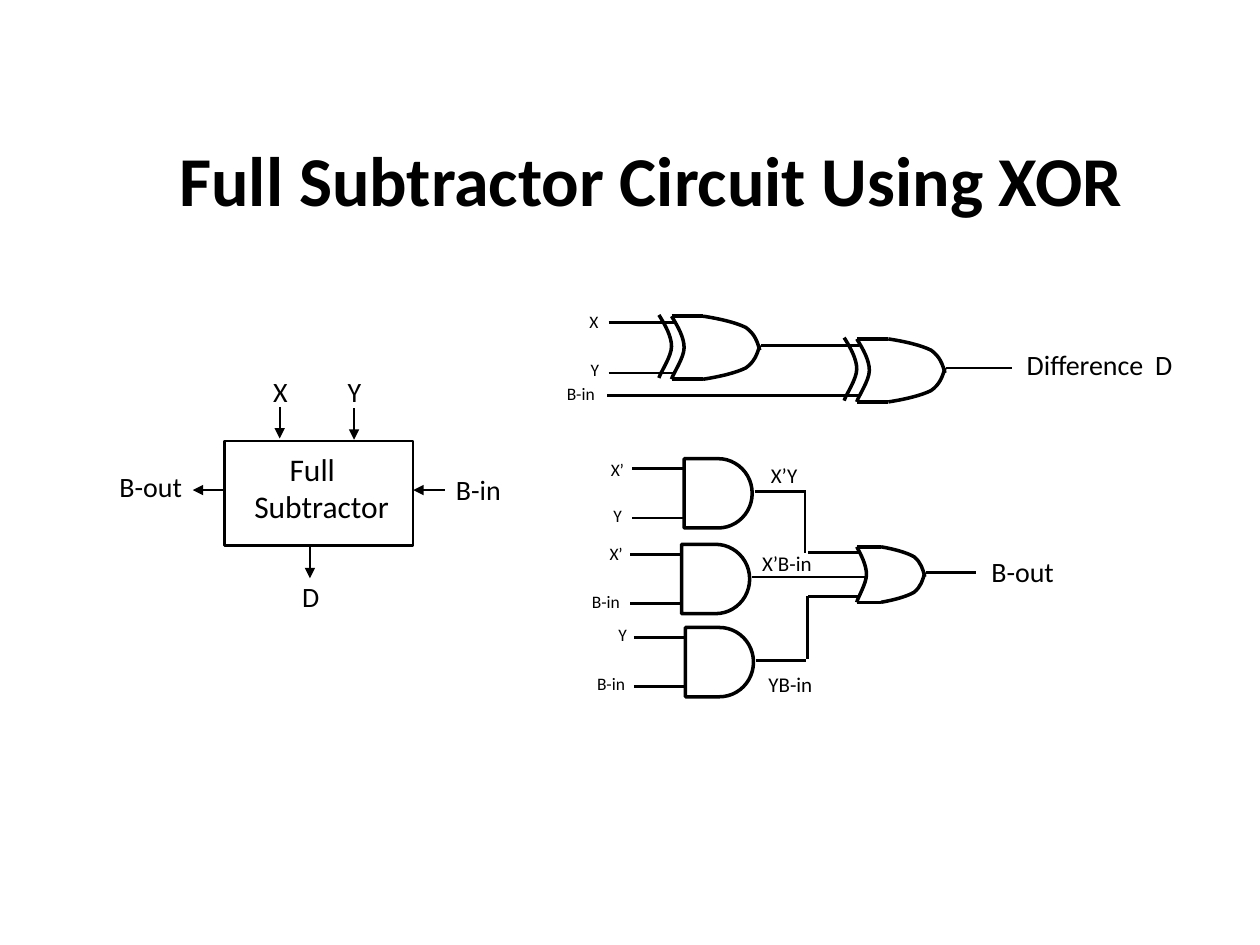
from dataclasses import dataclass
from itertools import pairwise

from lxml import etree
from pptx import Presentation, util as u
from pptx.dml import color
from pptx.enum import shapes, text
from pptx.oxml import ns

INK = "000000"
THIN, WIRE, GATE = 1, 1.5, 2
LABEL_WIDTHS = {"X": 27, "X’": 30, "Y": 26, "B-in": 42}
SLACK = 4

GATE_SIZE = (70, 50)
BACK = [(0, 0), (5, 8), (10, 17), (10, 25), (10, 33), (1, 46), (0, 50)]
NOSE_TOP = [(25, 0), (38, 2), (51, 5), (59, 9), (66, 14), (68, 20), (70, 27)]
NOSE_BOTTOM = [(x, 50 - y) for x, y in NOSE_TOP]
LEADS = [[(-50, 5), (2, 5)], [(-50, 45), (2, 45)], [(71, 23), (123, 23)]]


def px(length):
    return u.Emu(round(length * 9144))


def rgb(value):
    return color.RGBColor.from_string(value)


def child(parent, tag, **attributes):
    return etree.SubElement(parent, ns.qn(tag), attributes)


def style_line(line, width):
    line.color.rgb = rgb(INK)
    line.width = u.Pt(width)


def style_outline(shape, width):
    shape.shadow.inherit = False
    shape.fill.background()
    style_line(shape.line, width)


def style_font(font, size, bold=False):
    font.name = "Calibri"
    font.size = u.Pt(size)
    font.bold = bold
    font.color.rgb = rgb(INK)


def segments_to_beziers(shape):
    segments = list(shape._element.iter(ns.qn("a:lnTo")))
    outline = segments[0].getparent()
    for first in range(0, len(segments), 3):
        bezier = child(outline, "a:cubicBezTo")
        for segment in segments[first:first + 3]:
            bezier.append(segment[0])
            outline.remove(segment)


@dataclass
class Region:
    slide: object
    left: int
    top: int

    def inside(self, left, top):
        return Region(self.slide, self.left + left, self.top + top)

    def place(self, x, y):
        return px(self.left + x), px(self.top + y)

    def wire(self, *points, width=WIRE, arrow=False):
        for start, end in pairwise(points):
            connector = self.slide.shapes.add_connector(
                shapes.MSO_CONNECTOR.STRAIGHT, *self.place(*start), *self.place(*end))
            style_line(connector.line, width)
            properties = connector._element.spPr
            if arrow:
                child(properties.find(ns.qn("a:ln")), "a:tailEnd", type="triangle")
            child(properties, "a:effectLst")

    def curve(self, points):
        start, *rest = [self.place(*point) for point in points]
        builder = self.slide.shapes.build_freeform(*start, scale=1.0)
        builder.add_line_segments(rest, close=False)
        shape = builder.convert_to_shape()
        segments_to_beziers(shape)
        style_outline(shape, GATE)

    def outline(self, kind, left, top, width, height, weight):
        shape = self.slide.shapes.add_shape(
            kind, *self.place(left, top), px(width), px(height))
        style_outline(shape, weight)

    def label(self, left, top, width, height, content, size, indents=(0,), tab=None,
              wrap=False):
        box = self.slide.shapes.add_textbox(
            *self.place(left, top), px(width + SLACK), px(height))
        frame = box.text_frame
        frame.word_wrap = wrap
        frame.auto_size = text.MSO_AUTO_SIZE.SHAPE_TO_FIT_TEXT
        frame.text = content
        for paragraph, indent in zip(frame.paragraphs, indents):
            properties = paragraph._p.get_or_add_pPr()
            if indent:
                properties.set("marL", str(px(indent)))
            if tab:
                child(child(properties, "a:tabLst"), "a:tab", pos=str(px(tab)), algn="l")
            style_font(paragraph.font, size)

    def input_label(self, name, left, top):
        self.label(left, top, LABEL_WIDTHS[name], 27, name, 10)


def add_title(slide, left, top, width, height):
    box = slide.shapes.add_textbox(px(left), px(top), px(width), px(height))
    frame = box.text_frame
    frame.word_wrap = True
    frame.vertical_anchor = text.MSO_ANCHOR.MIDDLE
    paragraph = frame.paragraphs[0]
    paragraph.text = "Full Subtractor Circuit Using XOR"
    paragraph.alignment = text.PP_ALIGN.CENTER
    style_font(paragraph.font, 40, bold=True)


def add_or_gate(region, width, height, exclusive=False):
    across, down = width / GATE_SIZE[0], height / GATE_SIZE[1]

    def scaled(points):
        return [(x * across, y * down) for x, y in points]

    for lead in LEADS:
        region.wire(*scaled(lead))
    for points in (BACK, NOSE_TOP, NOSE_BOTTOM):
        region.curve(scaled(points))
    for y in (0, 50):
        region.wire(*scaled([(0, y), (25, y)]), width=GATE)
    if exclusive:
        region.inside(-10, -1).curve(scaled(BACK))


def add_and_gate(region, inputs):
    region.outline(shapes.MSO_SHAPE.FLOWCHART_DELAY, 0, 0, 54, 55, GATE)
    for wire_y, name_and_place in zip((8, 47), inputs):
        region.wire((-41, wire_y), (0, wire_y))
        region.input_label(*name_and_place)
    region.wire((56, 26), (96, 26))


def add_difference_circuit(region):
    for left, top in ((93, 9), (240, 27)):
        add_or_gate(region.inside(left, top), *GATE_SIZE, exclusive=True)
    region.wire((42, 72), (217, 72))
    for name, left, top in (("X", 18, 0), ("Y", 19, 38), ("B-in", 0, 57)):
        region.input_label(name, left, top)
    region.label(365, 29, 154, 37, "Difference\tD", 16, tab=102, wrap=True)


def add_borrow_circuit(region):
    gates = [(83, 5, [("X’", -68, -5), ("Y", -66, 32)]),
             (81, 73, [("X’", -67, -6), ("B-in", -81, 32)]),
             (84, 139, [("Y", -63, -8), ("B-in", -80, 31)])]
    for left, top, inputs in gates:
        add_and_gate(region.inside(left, top), inputs)
    region.wire((179, 30), (179, 80))
    region.wire((152, 99), (227, 99))
    region.wire((181, 114), (181, 164))
    add_or_gate(region.inside(220, 75), 54, 44)
    region.label(142, 3, 41, 30, "X’Y", 12)
    region.label(135, 73, 59, 30, "X’B-in", 12)
    region.label(140, 169, 55, 30, "YB-in", 12)
    region.label(317, 76, 69, 37, "B-out", 16)


def add_block_diagram(region):
    region.outline(shapes.MSO_SHAPE.RECTANGLE, 93, 58, 150, 83, WIRE)
    region.label(102, 60, 133, 70, "Full\nSubtractor", 18, indents=(33, 5))
    arrows = [((93, 97), (68, 97)), ((268, 97), (243, 97)), ((137, 31), (137, 56)),
              ((196, 32), (196, 57)), ((161, 142), (161, 167))]
    for start, end in arrows:
        region.wire(start, end, width=THIN, arrow=True)
    ports = [("X", 122, 0, 31), ("Y", 181, 0, 31), ("D", 145, 163, 33),
             ("B-in", 267, 78, 55), ("B-out", 0, 76, 69)]
    for name, left, top, width in ports:
        region.label(left, top, width, 37, name, 16)


def main():
    presentation = Presentation()
    presentation.slide_width, presentation.slide_height = px(1000), px(750)
    slide = presentation.slides.add_slide(presentation.slide_layouts[6])
    add_title(slide, 83, 117, 867, 50)
    add_difference_circuit(Region(slide, 440, 242))
    add_borrow_circuit(Region(slide, 460, 359))
    add_block_diagram(Region(slide, 85, 292))
    presentation.save("out.pptx")


if __name__ == "__main__":
    main()
